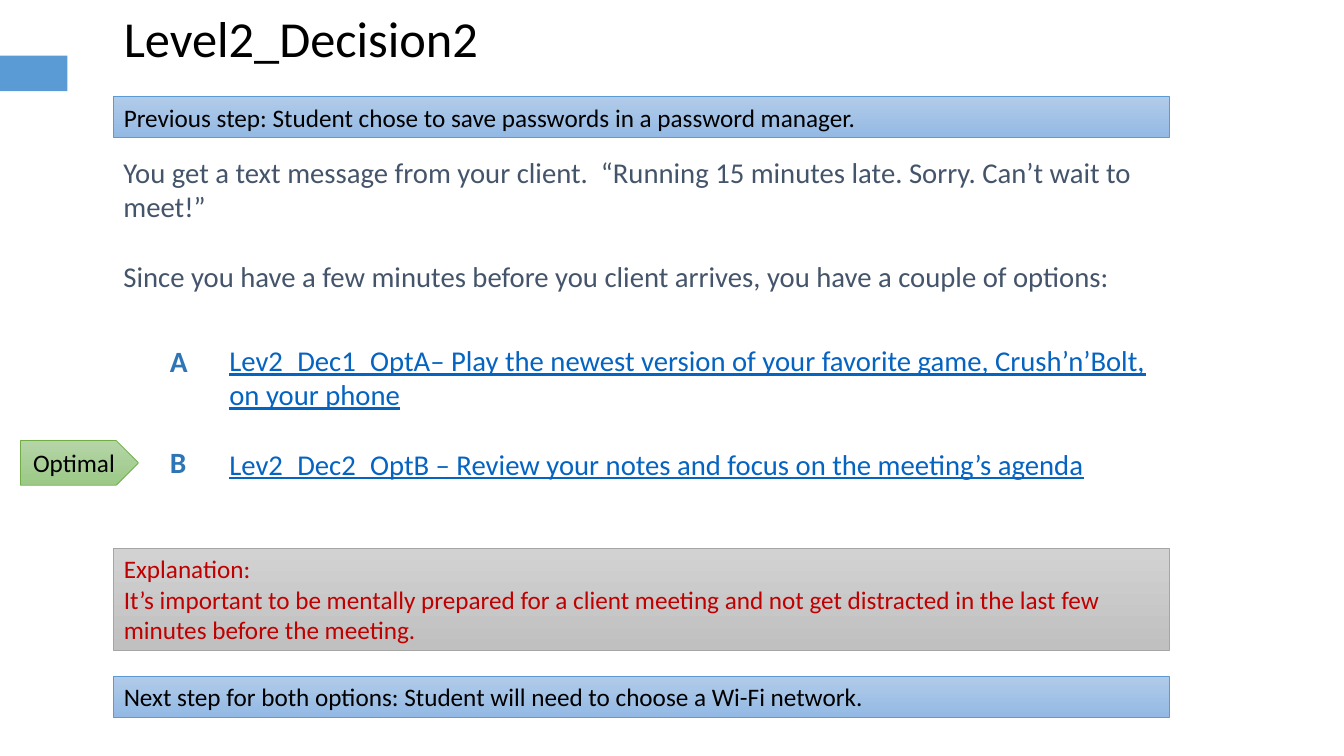
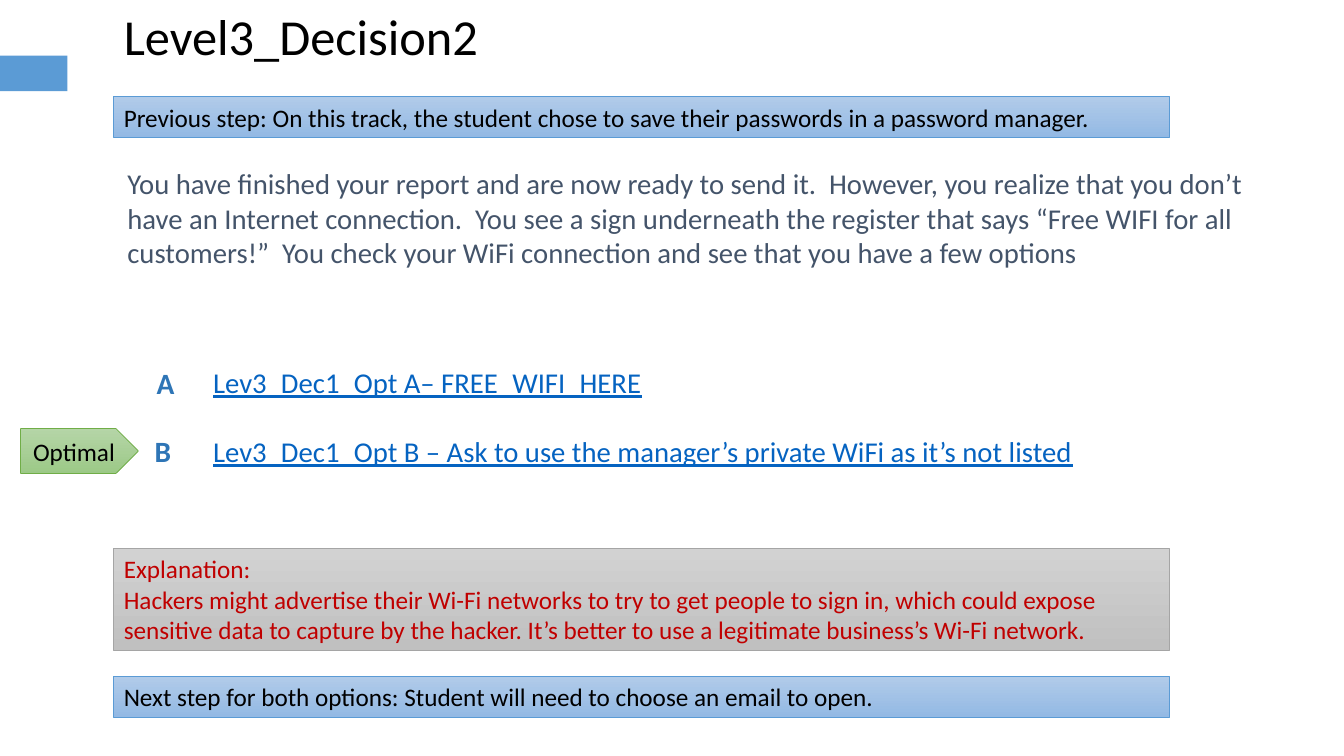
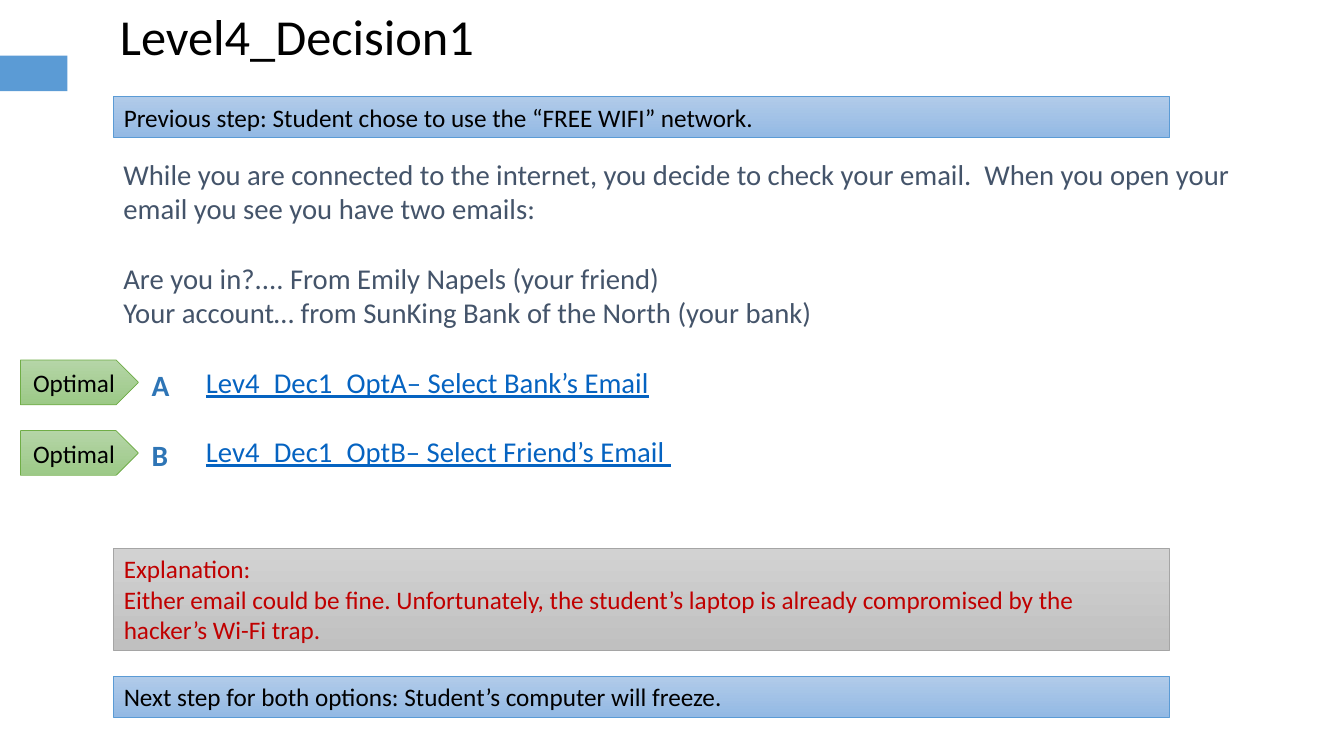
import pptx
import pptx.util
import pptx.dml.color
import pptx.enum.shapes
import pptx.enum.text
import pptx.oxml.ns
import lxml.etree

Cm = pptx.util.Cm
Shapes = pptx.enum.shapes.MSO_SHAPE
Anchor = pptx.enum.text.MSO_ANCHOR
Align = pptx.enum.text.PP_ALIGN

FONT = "Calibri"
BLACK, SLATE, LINK, LETTER, RED, ACCENT = "000000", "44546A", "0563C1", "2E75B6", "C00000", "5B9BD5"
BLUE_STYLE = ("B1CBE9", "93B9E4", ACCENT)
GREY_STYLE = ("D2D2D2", "C0C0C0", "A5A5A5")
GREEN_STYLE = ("B5D5A7", "9CC987", "70AD47")

ROOMY = (0.34, 0.17)
SNUG = (0.25, 0.13)
BAND_LEFT, BAND_WIDTH = 2.87, 26.59
BAND_HEIGHT, EXPLANATION_HEIGHT = 1.03, 2.57
PREVIOUS_TOP, EXPLANATION_TOP, NEXT_TOP = 2.44, 13.82, 17.04
FLAG_LEFT, FLAG_WIDTH, FLAG_HEIGHT = 0.52, 2.97, 1.13
BLANK_LINE = 25

DECISIONS = [
    {
        "title": ("Level2_Decision2", (2.87, 0.05, 9.91, 2.57)),
        "previous": "Previous step: Student chose to save passwords in a password manager.",
        "scene": [
            ("You get a text message from your client.  “Running 15 minutes late. Sorry. Can’t wait to meet!”", 0),
            ("Since you have a few minutes before you client arrives, you have a couple of options:", BLANK_LINE),
        ],
        "scene_at": (2.77, 3.73, 26.59, 4.9),
        "options": [
            "Lev2_Dec1_OptA– Play the newest version of your favorite game, Crush’n’Bolt, on your phone",
            "Lev2_Dec2_OptB – Review your notes and focus on the meeting’s agenda",
        ],
        "options_at": (5.44, 8.46, 24.03, 4.11),
        "letters": [("A", 3.94, 8.48), ("B", 3.94, 11.02)],
        "optimal_tops": [11.1],
        "explanation": "It’s important to be mentally prepared for a client meeting and not get "
                       "distracted in the last few minutes before the meeting.",
        "next": "Next step for both options: Student will need to choose a Wi-Fi network.",
    },
    {
        "title": ("Level3_Decision2", (2.87, 0, 14.3, 2.57)),
        "previous": "Previous step: On this track, the student chose to save their passwords in a password manager.",
        "scene": [
            ("You have finished your report and are now ready to send it.  However, you realize that "
             "you don’t have an Internet connection.  You see a sign underneath the register that says "
             "“Free WIFI for all customers!”  You check your WiFi connection and see that you have a "
             "few options", 0),
        ],
        "scene_at": (2.87, 4.01, 29.44, 6.22),
        "options": [
            "Lev3_Dec1_Opt A– FREE_WIFI_HERE",
            "Lev3_Dec1_Opt B – Ask to use the manager’s private WiFi as it’s not listed",
        ],
        "options_at": (5.03, 9.02, 24.92, 4.42),
        "letters": [("A", 3.61, 9.02), ("B", 3.56, 10.74)],
        "optimal_tops": [10.8],
        "explanation": "Hackers might advertise their Wi-Fi networks to try to get people to sign in, "
                       "which could expose sensitive data to capture by the hacker. It’s better to use "
                       "a legitimate business’s Wi-Fi network.",
        "next": "Next step for both options: Student will need to choose an email to open.",
    },
    {
        "title": ("Level4_Decision1", (2.77, 0, 10.57, 2.57)),
        "previous": "Previous step: Student chose to use the “FREE WIFI” network.",
        "scene": [
            ("While you are connected to the internet, you decide to check your email.  When you open "
             "your email you see you have two emails:", 0),
            ("Are you in?.... From Emily Napels (your friend)", BLANK_LINE),
            ("Your account… from SunKing Bank of the North (your bank)", 0),
        ],
        "scene_at": (2.77, 3.78, 29.69, 4.9),
        "options": [
            "Lev4_Dec1_OptA– Select Bank’s Email",
            "Lev4_Dec1_OptB– Select Friend’s Email ",
        ],
        "options_at": (4.85, 9.02, 16.81, 5.56),
        "letters": [("A", 3.48, 9.09), ("B", 3.48, 10.85)],
        "optimal_tops": [9.07, 10.85],
        "explanation": "Either email could be fine. Unfortunately, the student’s laptop is already "
                       "compromised by the hacker’s Wi-Fi trap.",
        "next": "Next step for both options: Student’s computer will freeze.",
    },
]


def rgb(code):
    return pptx.dml.color.RGBColor.from_string(code)


def place(part, at):
    part.left, part.top, part.width, part.height = map(Cm, at)


def write(part, paragraphs, size=18, color=BLACK, bold=False, underline=False,
          align=Align.LEFT, anchor=Anchor.TOP, inset=SNUG):
    frame = part.text_frame
    frame.word_wrap = True
    frame.auto_size = pptx.enum.text.MSO_AUTO_SIZE.NONE
    frame.vertical_anchor = anchor
    frame.margin_left = frame.margin_right = Cm(inset[0])
    frame.margin_top = frame.margin_bottom = Cm(inset[1])
    for index, (words, gap) in enumerate(paragraphs):
        paragraph = frame.add_paragraph() if index else frame.paragraphs[0]
        properties = paragraph._p.get_or_add_pPr()
        properties.set("marL", "0")
        properties.set("indent", "0")
        lxml.etree.SubElement(properties, pptx.oxml.ns.qn("a:buNone"))
        paragraph.alignment = align
        paragraph.space_before = pptx.util.Pt(gap)
        run = paragraph.add_run()
        run.text = words
        run.font.name = FONT
        run.font.size = pptx.util.Pt(size)
        run.font.bold = bold
        run.font.underline = underline
        run.font.color.rgb = rgb(color)


def add_panel(slide, preset, at, style):
    top_color, bottom_color, edge = style
    panel = slide.shapes.add_shape(preset, *map(Cm, at))
    panel.shadow.inherit = False
    panel.fill.gradient()
    panel.fill.gradient_angle = 270
    for stop, color in zip(panel.fill.gradient_stops, (top_color, bottom_color)):
        stop.color.rgb = rgb(color)
    panel.line.color.rgb = rgb(edge)
    panel.line.width = pptx.util.Pt(0.5)
    return panel


def add_master_tab(deck, slide):
    tab = slide.shapes.add_shape(Shapes.RECTANGLE, *map(Cm, (0, 1.4, 1.7, 0.9)))
    tab.shadow.inherit = False
    tab.fill.solid()
    tab.fill.fore_color.rgb = rgb(ACCENT)
    tab.line.fill.background()
    tab.element.nvSpPr.cNvPr.set("id", "50")
    deck.slide_master.element.cSld.spTree.append(tab.element)


def build_decision(slide, decision):
    title, scene, options = slide.placeholders
    heading, title_at = decision["title"]
    place(title, title_at)
    write(title, [(heading, 0)], size=36)
    place(scene, decision["scene_at"])
    write(scene, decision["scene"], size=20.5, color=SLATE, inset=ROOMY)
    place(options, decision["options_at"])
    choices = [(choice, BLANK_LINE if index else 0) for index, choice in enumerate(decision["options"])]
    write(options, choices, size=20.5, color=LINK, underline=True, inset=ROOMY)

    for letter, left, top in decision["letters"]:
        label = slide.shapes.add_textbox(*map(Cm, (left, top, 1.75, 1.3)))
        write(label, [(letter, 0)], size=21, color=LETTER, bold=True, inset=ROOMY)

    bands = [
        ([decision["previous"]], PREVIOUS_TOP, BAND_HEIGHT, BLUE_STYLE, BLACK),
        ([decision["next"]], NEXT_TOP, BAND_HEIGHT, BLUE_STYLE, BLACK),
        (["Explanation:", decision["explanation"]], EXPLANATION_TOP, EXPLANATION_HEIGHT, GREY_STYLE, RED),
    ]
    for lines, top, height, style, color in bands:
        band = add_panel(slide, Shapes.RECTANGLE, (BAND_LEFT, top, BAND_WIDTH, height), style)
        write(band, [(line, 0) for line in lines], color=color)

    for top in decision["optimal_tops"]:
        flag = add_panel(slide, Shapes.PENTAGON, (FLAG_LEFT, top, FLAG_WIDTH, FLAG_HEIGHT), GREEN_STYLE)
        write(flag, [("Optimal", 0)], align=Align.CENTER, anchor=Anchor.MIDDLE)


def main():
    deck = pptx.Presentation()
    deck.slide_width, deck.slide_height = Cm(33.87), Cm(19.05)
    two_lists = deck.slide_layouts.get_by_name("Two Content")
    for index, decision in enumerate(DECISIONS):
        slide = deck.slides.add_slide(two_lists)
        if index == 0:
            add_master_tab(deck, slide)
        build_decision(slide, decision)
    deck.save("out.pptx")


if __name__ == "__main__":
    main()
